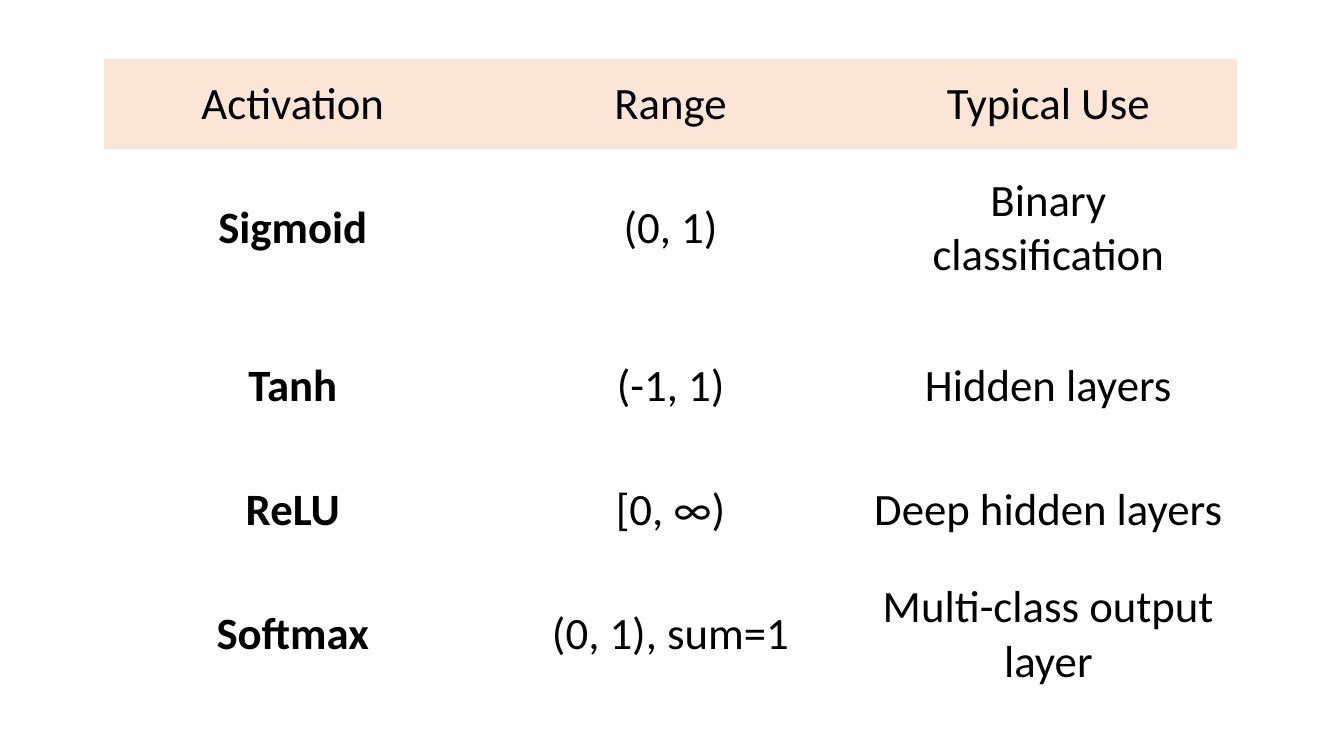
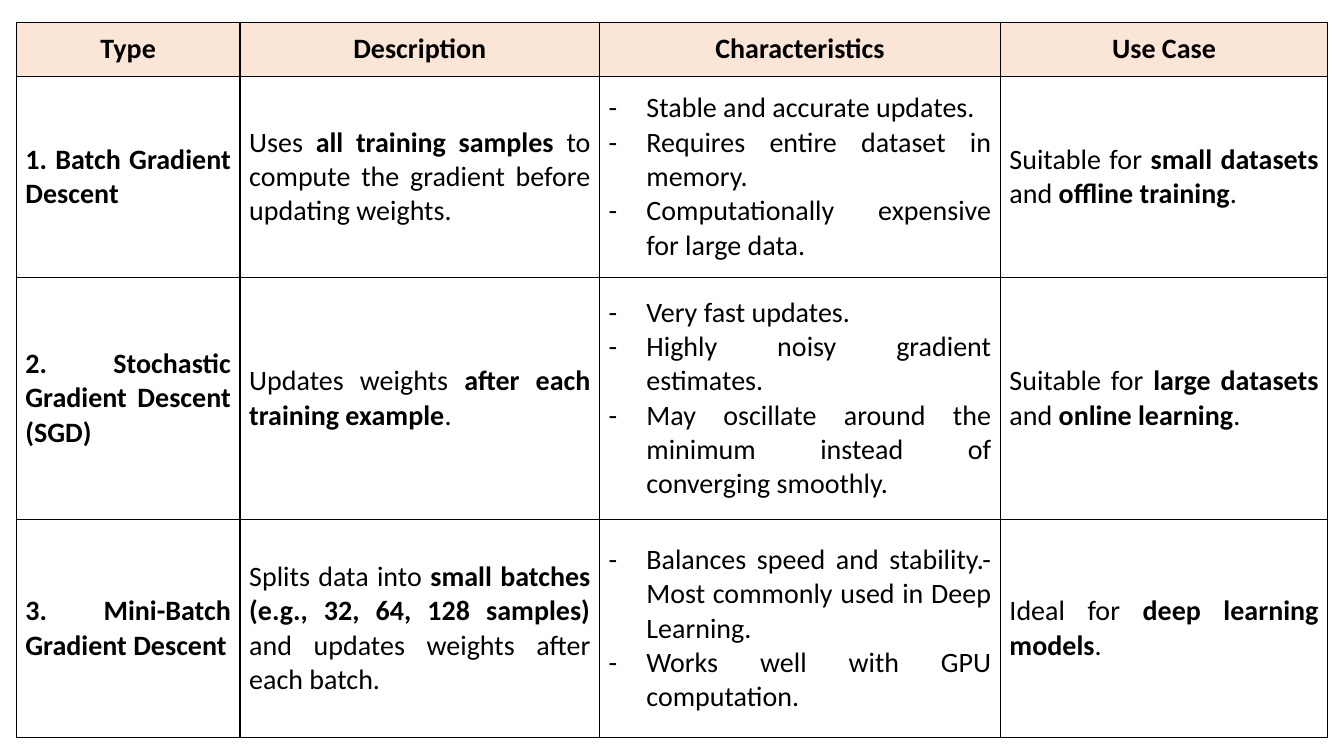
from dataclasses import dataclass

from lxml import etree
from pptx import Presentation
from pptx import util as u
from pptx.dml.color import RGBColor
from pptx.enum import text
from pptx.oxml import ns

CENTER, JUSTIFY = text.PP_ALIGN.CENTER, text.PP_ALIGN.JUSTIFY


@dataclass(frozen=True)
class Theme:
    font: str = "Calibri"
    ink: str = "000000"
    header_fill: str = "FBE5D6"
    large: int = 32
    body: int = 20
    border: float = 1
    indent: float = 0.95
    plain_table: str = "{2D5ABB26-0587-4C30-8999-92F81FD0307C}"


def apply(target, formats):
    for name, value in formats.items():
        setattr(target, name, value)


def add_element(parent, tag, **attributes):
    return etree.SubElement(parent, ns.qn(tag), attributes)


class Deck:
    def __init__(self, theme):
        self.theme = theme
        self.presentation = Presentation()
        apply(self.presentation, {"slide_width": u.Cm(33.87),
                                  "slide_height": u.Cm(19.05)})
        self.page = None

    def new_page(self):
        self.page = self.presentation.slides.add_slide(
            self.presentation.slide_layouts[6])

    def table(self, left, top, widths, heights, rows, size, align,
              bold_header=False, bordered=False, margins=None):
        """Add a table with a tinted header row and a bold first column."""
        table = self.page.shapes.add_table(
            len(rows), len(widths), u.Cm(left), u.Cm(top),
            u.Cm(sum(widths)), u.Cm(sum(heights))).table
        apply(table, {"first_row": False, "horz_banding": False})
        style_id = table._tbl.tblPr.find(ns.qn("a:tableStyleId"))
        style_id.text = self.theme.plain_table
        for column, width in zip(table.columns, widths):
            column.width = u.Cm(width)
        for row, height in zip(table.rows, heights):
            row.height = u.Cm(height)
        for r, row in enumerate(rows):
            for c, content in enumerate(row):
                cell = table.cell(r, c)
                apply(cell, {"vertical_anchor": text.MSO_ANCHOR.MIDDLE,
                             **(margins or {})})
                if bordered:
                    self.borders(cell)
                if r == 0:
                    cell.fill.solid()
                    cell.fill.fore_color.rgb = RGBColor.from_string(
                        self.theme.header_fill)
                else:
                    cell.fill.background()
                bold = bold_header if r == 0 else c == 0
                self.paragraphs(cell.text_frame, content, size,
                                CENTER if r == 0 else align, bold)

    def borders(self, cell):
        properties = cell._tc.get_or_add_tcPr()
        for side in "LRTB":
            line = add_element(properties, f"a:ln{side}",
                               w=str(u.Pt(self.theme.border)))
            fill = add_element(line, "a:solidFill")
            add_element(fill, "a:srgbClr", val=self.theme.ink)

    def paragraphs(self, frame, content, size, align, bold):
        """Set one paragraph a line; "- " starts a bullet, ** toggles bold."""
        for i, line in enumerate(content.split("\n")):
            para = frame.paragraphs[0] if i == 0 else frame.add_paragraph()
            para.alignment = align
            if line.startswith("- "):
                self.bullet(para)
                line = line[2:]
            for j, part in enumerate(line.split("**")):
                if not part:
                    continue
                span = para.add_run()
                span.text = part
                apply(span.font, {"name": self.theme.font, "size": u.Pt(size),
                                  "bold": bold or j % 2 == 1})
                span.font.color.rgb = RGBColor.from_string(self.theme.ink)

    def bullet(self, para):
        properties = para._p.get_or_add_pPr()
        indent = u.Cm(self.theme.indent)
        properties.set("marL", str(indent))
        properties.set("indent", str(-indent))
        add_element(properties, "a:buFont", typeface=self.theme.font)
        add_element(properties, "a:buChar", char="-")


ACTIVATIONS = [
    ("Activation", "Range", "Typical Use"),
    ("Sigmoid", "(0, 1)", "Binary classification"),
    ("Tanh", "(-1, 1)", "Hidden layers"),
    ("ReLU", "[0, ∞)", "Deep hidden layers"),
    ("Softmax", "(0, 1), sum=1", "Multi-class output layer"),
]

GRADIENT_DESCENT = [
    ("Type", "Description", "Characteristics", "Use Case"),
    ("1. Batch Gradient Descent",
     "Uses **all training samples** to compute the gradient before "
     "updating weights.",
     "- Stable and accurate updates.\n"
     "- Requires entire dataset in memory.\n"
     "- Computationally expensive for large data.",
     "Suitable for **small datasets** and **offline training**."),
    ("2. Stochastic Gradient Descent (SGD)",
     "Updates weights **after each training example**.",
     "- Very fast updates.\n"
     "- Highly noisy gradient estimates.\n"
     "- May oscillate around the minimum instead of converging smoothly.",
     "Suitable for **large datasets** and **online learning**."),
    ("3. Mini-Batch Gradient Descent",
     "Splits data into **small batches (e.g., 32, 64, 128 samples)** and "
     "updates weights after each batch.",
     "- Balances speed and stability.- Most commonly used in Deep Learning.\n"
     "- Works well with GPU computation.",
     "Ideal for **deep learning models**."),
]


def main():
    theme = Theme()
    deck = Deck(theme)

    deck.new_page()
    deck.table(2.62, 1.48, [9.52] * 3, [2.28, 3.98, 3.98, 2.28, 3.98],
               ACTIVATIONS, theme.large, CENTER)

    deck.new_page()
    side, edge = u.Cm(0.23), u.Cm(0.1)
    deck.table(0.41, 0.56, [5.64, 9.06, 10.1, 8.25], [1.37, 5.06, 6.1, 5.5],
               GRADIENT_DESCENT, theme.body, JUSTIFY,
               bold_header=True, bordered=True,
               margins={"margin_left": side, "margin_right": side,
                        "margin_top": edge, "margin_bottom": edge})

    deck.presentation.save("out.pptx")


if __name__ == "__main__":
    main()
